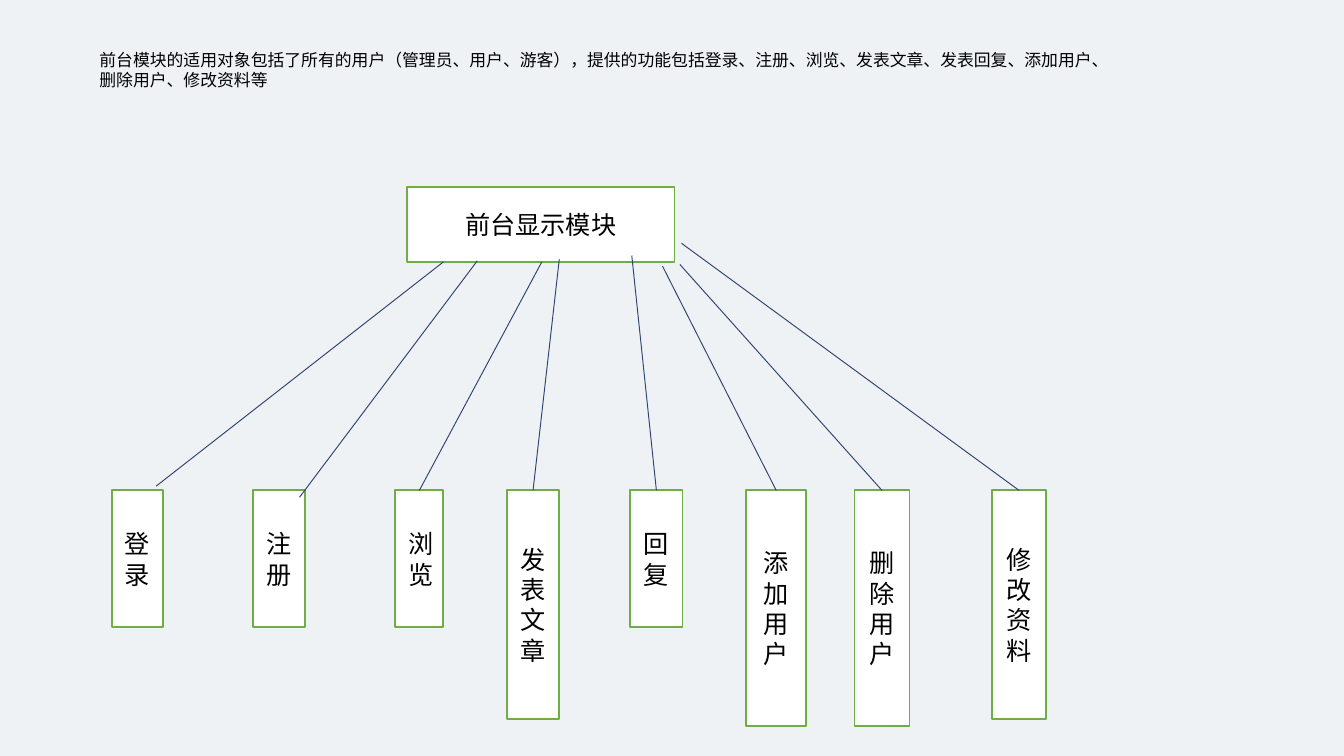
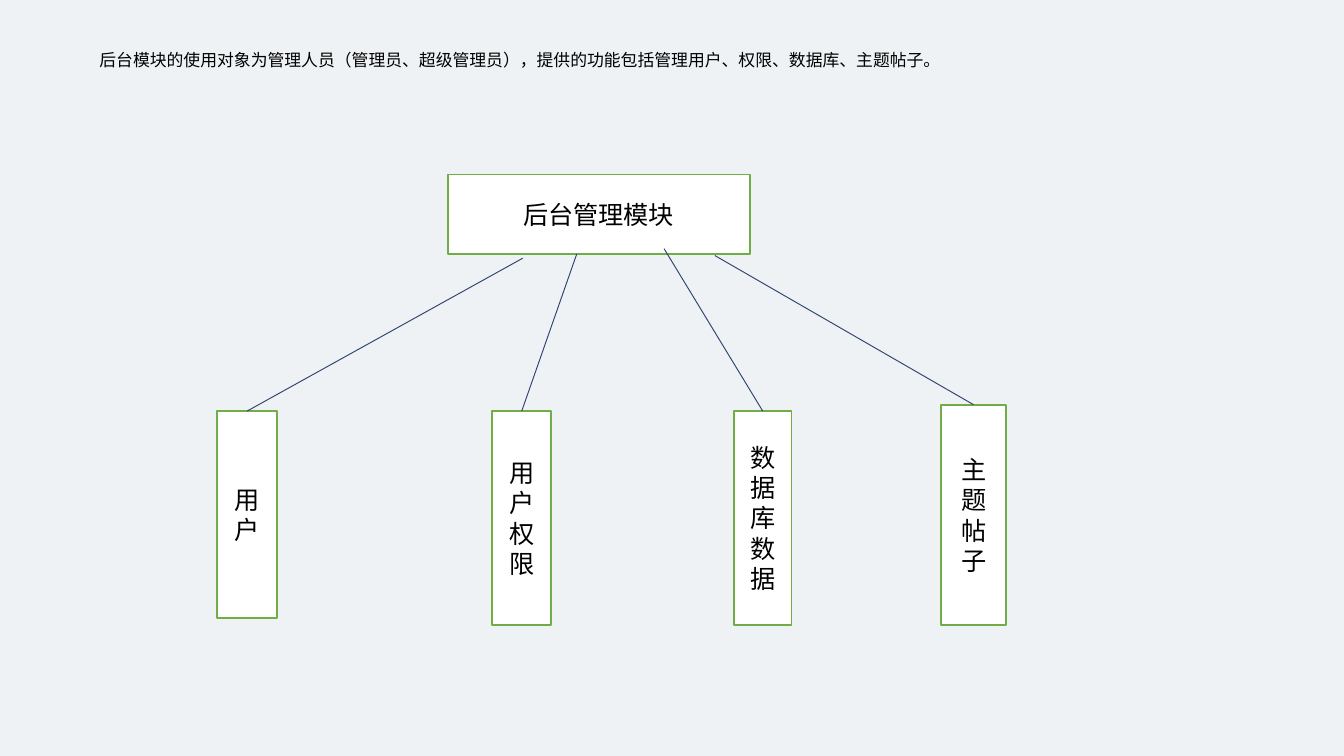
from dataclasses import dataclass
from typing import Optional

from lxml import etree
from pptx import Presentation
from pptx import util as u
from pptx.dml.color import RGBColor
from pptx.enum import shapes, text
from pptx.oxml import ns

# Shared look
FONT = "Calibri"
BACKGROUND, BOX_FILL, BOX_BORDER = "EEF2F5", "FFFFFF", "70AD47"
BRANCH, INK = "304371", "000000"
INTRO_SIZE, BOX_SIZE = 9, 13.5
Point = tuple[float, float]


# Content types, lengths in centimetres
@dataclass
class Box:
    label: str
    left: float
    top: float
    width: float
    height: float

    @property
    def top_centre(self) -> Point:
        return self.left + self.width / 2, self.top


@dataclass
class Function:
    box: Box
    root_end: Point
    box_end: Optional[Point] = None  # top centre of the box unless given


@dataclass
class Module:
    intro: str
    intro_height: float
    root: Box
    functions: list[Function]


# Drawing
def colour(hex_code: str) -> RGBColor:
    return RGBColor.from_string(hex_code)


def write(frame, words: str, size: float) -> None:
    frame.word_wrap = True
    frame.text = words
    font = frame.paragraphs[0].runs[0].font
    font.name, font.size = FONT, u.Pt(size)
    font.color.rgb = colour(INK)


def draw_intro(slide, module: Module) -> None:
    intro = slide.shapes.add_textbox(
        u.Cm(1.63), u.Cm(0.81), u.Cm(19.48), u.Cm(module.intro_height))
    write(intro.text_frame, module.intro, INTRO_SIZE)
    intro.text_frame.auto_size = text.MSO_AUTO_SIZE.SHAPE_TO_FIT_TEXT


def draw_box(slide, box: Box) -> None:
    panel = slide.shapes.add_shape(
        shapes.MSO_SHAPE.RECTANGLE,
        u.Cm(box.left), u.Cm(box.top), u.Cm(box.width), u.Cm(box.height))
    panel.shadow.inherit = False
    panel.fill.solid()
    panel.fill.fore_color.rgb = colour(BOX_FILL)
    panel.line.color.rgb = colour(BOX_BORDER)
    panel.line.width = u.Pt(1)
    write(panel.text_frame, box.label, BOX_SIZE)
    panel.text_frame.vertical_anchor = text.MSO_ANCHOR.MIDDLE
    panel.text_frame.paragraphs[0].alignment = text.PP_ALIGN.CENTER


def draw_branch(slide, start: Point, end: Point) -> None:
    branch = slide.shapes.add_connector(
        shapes.MSO_CONNECTOR.STRAIGHT, *(u.Cm(value) for value in start + end))
    branch.line.color.rgb = colour(BRANCH)
    branch.line.width = u.Pt(0.5)
    etree.SubElement(branch.element.spPr, ns.qn("a:effectLst"))


def draw_module(deck, module: Module) -> None:
    slide = deck.slides.add_slide(deck.slide_layouts[6])
    slide.background.fill.solid()
    slide.background.fill.fore_color.rgb = colour(BACKGROUND)
    draw_intro(slide, module)
    draw_box(slide, module.root)
    for function in module.functions:
        draw_box(slide, function.box)
    for function in module.functions:
        draw_branch(slide, function.box_end or function.box.top_centre, function.root_end)


# Content
FRONT_TOP, SHORT, LONG, LONGEST = 9.27, 2.59, 4.32, 4.45
BACK_TOP = 7.77

front = Module(
    "前台模块的适用对象包括了所有的用户（管理员、用户、游客），提供的功能包括登录、注册、浏览、"
    "发表文章、发表回复、添加用户、删除用户、修改资料等",
    1.02,
    Box("前台显示模块", 7.7, 3.53, 5.05, 1.42),
    [
        Function(Box("登录", 2.11, FRONT_TOP, 0.97, SHORT), (8.38, 4.95), (2.95, 9.19)),
        Function(Box("注册", 4.78, FRONT_TOP, 0.99, SHORT), (9.02, 4.93), (5.66, 9.4)),
        Function(Box("浏览", 7.47, FRONT_TOP, 0.91, SHORT), (10.24, 4.95)),
        Function(Box("发表文章", 9.58, FRONT_TOP, 0.99, LONG), (10.57, 4.9)),
        Function(Box("回复", 11.91, FRONT_TOP, 0.99, SHORT), (11.94, 4.83)),
        Function(Box("添加用户", 14.1, FRONT_TOP, 1.14, LONGEST), (12.52, 5.03)),
        Function(Box("删除用户", 16.15, FRONT_TOP, 1.04, LONGEST), (12.85, 5.0)),
        Function(Box("修改资料", 18.75, FRONT_TOP, 1.02, LONG), (12.88, 4.6)),
    ],
)

back = Module(
    "后台模块的使用对象为管理人员（管理员、超级管理员），提供的功能包括管理用户、权限、数据库、主题帖子。",
    0.64,
    Box("后台管理模块", 8.46, 3.3, 5.72, 1.5),
    [
        Function(Box("用户", 4.11, BACK_TOP, 1.12, 3.91), (9.88, 4.88)),
        Function(Box("用户权限", 9.3, BACK_TOP, 1.12, 4.04), (10.9, 4.8)),
        Function(Box("数据库数据", 13.87, BACK_TOP, 1.09, 4.04), (12.55, 4.7)),
        Function(Box("主题帖子", 17.78, 7.65, 1.24, 4.17), (13.51, 4.83)),
    ],
)

# Build
deck = Presentation()
deck.slide_width, deck.slide_height = u.Cm(25.4), u.Cm(14.29)
for module in (front, back):
    draw_module(deck, module)
deck.save("out.pptx")
